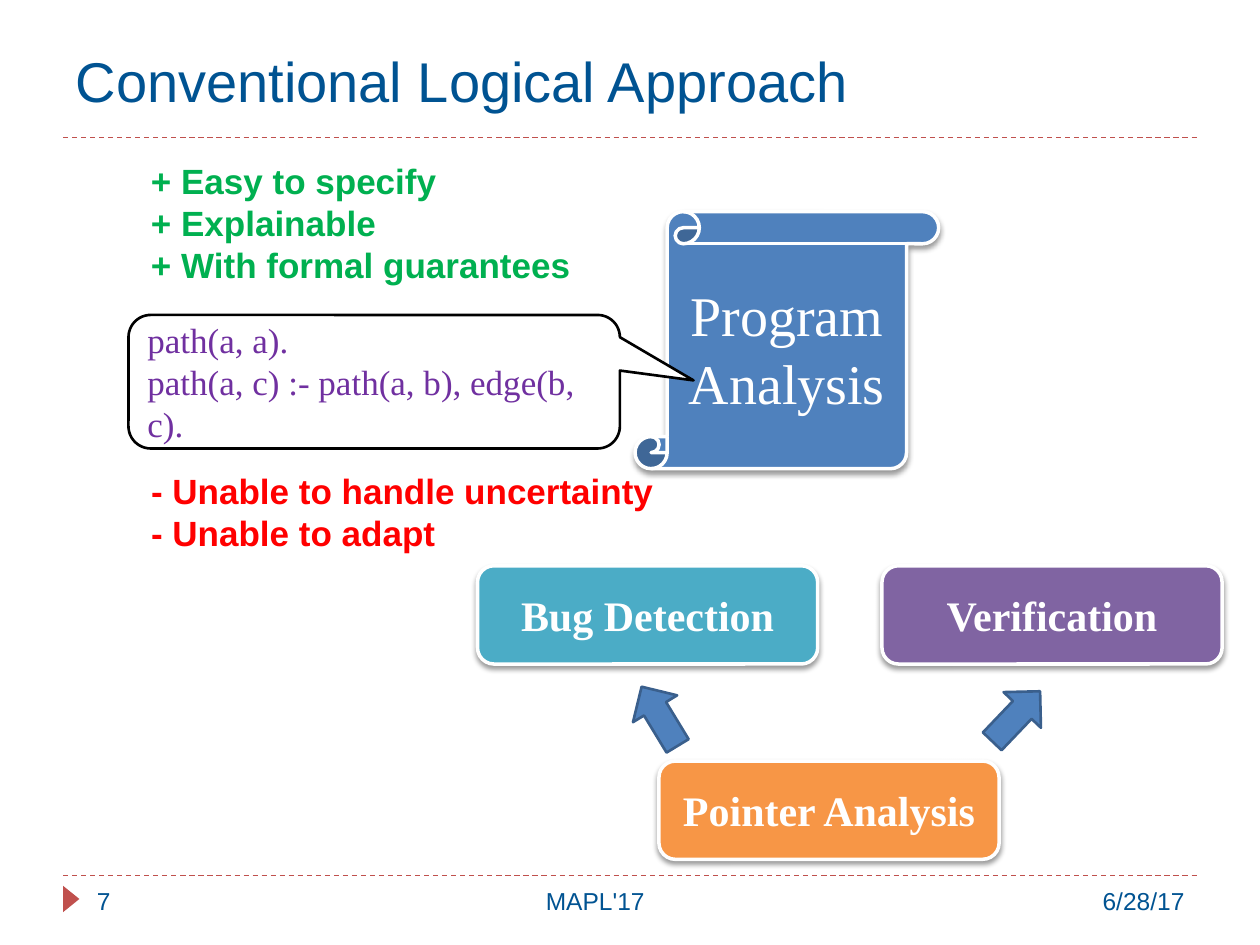
from dataclasses import dataclass

from lxml.etree import SubElement
from pptx import Presentation
from pptx.dml.color import RGBColor
from pptx.enum.dml import MSO_LINE
from pptx.enum.shapes import MSO_CONNECTOR, MSO_SHAPE
from pptx.enum.text import MSO_ANCHOR, PP_ALIGN
from pptx.oxml.ns import qn
from pptx.util import Inches, Pt


@dataclass(frozen=True)
class Theme:
    sans: str = "Arial"
    serif: str = "Times New Roman"
    navy: str = "005392"
    blue: str = "4F81BD"
    edge: str = "3A5F8C"
    brick: str = "C0504D"
    orange: str = "F79646"
    teal: str = "4BACC6"
    violet: str = "8064A2"
    purple: str = "7030A0"
    green: str = "00B050"
    red: str = "FF0000"
    white: str = "FFFFFF"
    black: str = "000000"
    large: int = 32
    label: int = 24
    body: int = 20
    small: int = 14


class Deck:
    def __init__(self, theme):
        self.theme = theme
        self.prs = Presentation()
        self.prs.slide_width, self.prs.slide_height = Inches(10), Inches(7.5)
        self.slide = self.prs.slides.add_slide(self.prs.slide_layouts[5])
        self.shapes = self.slide.shapes

    def fill_text(self, frame, lines, size, color, font, bold=False,
                  align=PP_ALIGN.LEFT, anchor=MSO_ANCHOR.TOP):
        frame.word_wrap = True
        frame.vertical_anchor = anchor
        for i, line in enumerate(lines):
            para = frame.add_paragraph() if i else frame.paragraphs[0]
            para.alignment = align
            run = para.add_run()
            run.text = line
            run.font.size = Pt(size)
            run.font.name = font
            run.font.bold = bold
            run.font.color.rgb = RGBColor.from_string(color)

    def title(self, text, box):
        holder = self.shapes.title
        holder.left, holder.top, holder.width, holder.height = map(Inches, box)
        self.fill_text(holder.text_frame, [text], self.theme.large, self.theme.navy,
                       self.theme.sans, anchor=MSO_ANCHOR.MIDDLE)

    def text(self, lines, box, size, color, **style):
        frame = self.shapes.add_textbox(*map(Inches, box)).text_frame
        self.fill_text(frame, lines, size, color, self.theme.sans, **style)

    def rule(self, y):
        line = self.shapes.add_connector(
            MSO_CONNECTOR.STRAIGHT, Inches(0.5), Inches(y), Inches(9.5), Inches(y))
        line.line.color.rgb = RGBColor.from_string(self.theme.brick)
        line.line.width = Pt(0.75)
        line.line.dash_style = MSO_LINE.DASH
        SubElement(line._element.spPr, qn("a:effectLst"))

    def shape(self, kind, box, fill, edge=None, width=1.5, turn=0):
        item = self.shapes.add_shape(kind, *map(Inches, box))
        item.rotation = turn
        item.fill.solid()
        item.fill.fore_color.rgb = RGBColor.from_string(fill)
        if edge:
            item.line.color.rgb = RGBColor.from_string(edge)
            item.line.width = Pt(width)
        else:
            item.line.fill.background()
        item.shadow.inherit = False
        return item

    def panel(self, kind, box, fill, lines, size, bold=False):
        """White-edged shape with a soft shadow and centred text."""
        item = self.shape(kind, box, fill, self.theme.white, 2)
        effects = item._element.spPr.find(qn("a:effectLst"))
        shade = SubElement(effects, qn("a:outerShdw"), blurRad=str(Pt(3)),
                           dist=str(Pt(2)), dir="5400000", rotWithShape="0")
        color = SubElement(shade, qn("a:srgbClr"), val=self.theme.black)
        SubElement(color, qn("a:alpha"), val="40000")
        self.fill_text(item.text_frame, lines, size, self.theme.white,
                       self.theme.serif, bold, PP_ALIGN.CENTER, MSO_ANCHOR.MIDDLE)

    def callout(self, lines, box, tail):
        item = self.shape(MSO_SHAPE.ROUNDED_RECTANGULAR_CALLOUT, box,
                          self.theme.white, self.theme.black)
        item.adjustments[0], item.adjustments[1] = tail
        self.fill_text(item.text_frame, lines, self.theme.body, self.theme.purple,
                       self.theme.serif, anchor=MSO_ANCHOR.MIDDLE)


def main():
    look = Theme()
    deck = Deck(look)

    # Rules, page marker and footer
    for y in (6.95, 1.09):
        deck.rule(y)
    deck.shape(MSO_SHAPE.ISOSCELES_TRIANGLE, (0.46, 7.07, 0.21, 0.13),
               look.brick, turn=90)
    for word, left, width, align in (
            ("6/28/17", 7, 2.5, PP_ALIGN.RIGHT),
            ("7", 0.67, 0.89, PP_ALIGN.LEFT),
            ("MAPL'17", 1.56, 6.33, PP_ALIGN.CENTER)):
        deck.text([word], (left, 6.98, width, 0.4), look.small, look.navy, align=align)

    deck.title("Conventional Logical Approach", (0.5, 0.17, 9, 0.93))

    # Analysis scroll and its logic rules
    deck.panel(MSO_SHAPE.VERTICAL_SCROLL, (5.04, 1.68, 2.41, 2.04), look.blue,
               ["Program", "Analysis"], look.large)
    deck.callout(["path(a, a).", "path(a, c) :- path(a, b), edge(b, c)."],
                 (1.02, 2.5, 3.9, 1.06), (0.65, -0.01))

    # Strengths and weaknesses
    deck.text(["+ Easy to specify", "+ Explainable", "+ With formal guarantees"],
              (1.1, 1.22, 3.74, 1.11), look.body, look.green, bold=True)
    deck.text(["- Unable to handle uncertainty", "- Unable to adapt"],
              (1.1, 3.68, 4.28, 0.77), look.body, look.red, bold=True)

    # Analyses and the arrows between them
    for word, left, top, fill in (
            ("Pointer Analysis", 5.23, 6.04, look.orange),
            ("Bug Detection", 3.79, 4.49, look.teal),
            ("Verification", 7, 4.49, look.violet)):
        deck.panel(MSO_SHAPE.ROUNDED_RECTANGLE, (left, top, 2.7, 0.78), fill,
                   [word], look.label, bold=True)
    for left, turn in ((4.96, 238.7), (7.79, 313.7)):
        deck.shape(MSO_SHAPE.RIGHT_ARROW, (left, 5.48, 0.55, 0.41), look.blue,
                   look.edge, turn=turn)

    deck.prs.save("out.pptx")


if __name__ == "__main__":
    main()
